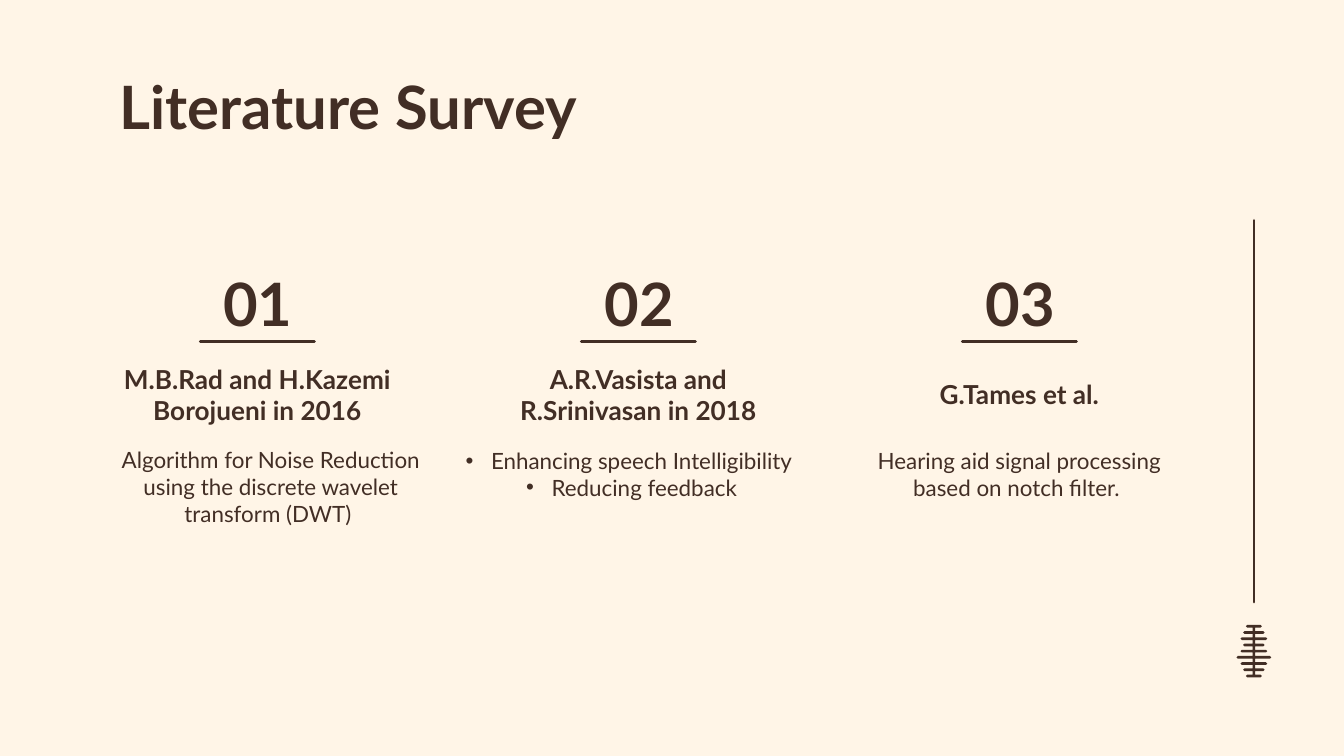
from lxml.etree import SubElement as Sub
from pptx import Presentation
from pptx.dml.color import RGBColor as Rgb
from pptx.enum.shapes import MSO_CONNECTOR as Conn
from pptx.enum.text import MSO_ANCHOR as Anchor, MSO_AUTO_SIZE as Auto, PP_ALIGN as Align
from pptx.oxml.ns import qn
from pptx.util import Inches, Pt

TITLE = "Literature Survey"
WORKS = [
    {"num": "01", "head": "M.B.Rad and H.Kazemi Borojueni in 2016",
     "body": ["Algorithm for Noise Reduction using the discrete wavelet transform (DWT) "],
     "box": (0.79, 2.84, 2.45, 1.36), "top": 0.3},
    {"num": "02", "head": "A.R.Vasista and R.Srinivasan in 2018",
     "body": ["Enhancing speech Intelligibility ", "Reducing feedback"],
     "box": (3.28, 3.04, 2.84, 0.97), "mark": "•"},
    {"num": "03", "head": "G.Tames et al.",
     "body": ["Hearing aid signal processing based on notch filter. "],
     "box": (6.36, 3.04, 2.45, 0.97)},
]
SLATS = [0.06, 0.08, 0.1, 0.08, 0.1, 0.13, 0.1, 0.08, 0.06]
THEME = {"ink": Rgb.from_string("422E25"), "paper": Rgb.from_string("FFF5E7"),
         "font": "Lato", "big": 32, "head": 14, "body": 12, "line": 1.5}
STEP = (6.36 - 0.69) / 2
AXIS = 9.33

deck = Presentation()
deck.slide_width = Inches(10)
deck.slide_height = deck.slide_width * 9 // 16
slide = deck.slides.add_slide(deck.slide_layouts[5])
slide.background.fill.solid()
slide.background.fill.fore_color.rgb = THEME["paper"]


def write(text, box, size, bold=False, align=Align.CENTER, anchor=Anchor.MIDDLE,
          top=0.1, mark=None, shape=None):
    sides = [Inches(v) for v in box]
    shape = shape or slide.shapes.add_textbox(*sides)
    shape.left, shape.top, shape.width, shape.height = sides
    frame = shape.text_frame
    frame.auto_size = Auto.NONE
    frame.word_wrap = True
    frame.vertical_anchor = anchor
    frame.margin_left = frame.margin_right = frame.margin_bottom = Inches(0.1)
    frame.margin_top = Inches(top)
    frame.text = "\n".join(text)
    for para in frame.paragraphs:
        para.alignment = align
        if mark:
            props = para._p.get_or_add_pPr()
            props.set("marL", str(Inches(0.19)))
            props.set("indent", str(Inches(-0.19)))
            Sub(props, qn("a:buFont")).set("typeface", "Arial")
            Sub(props, qn("a:buChar")).set("char", mark)
        for run in para.runs:
            font = run.font
            font.name, font.size, font.bold = THEME["font"], Pt(size), bold
            font.color.rgb = THEME["ink"]


def rule(x1, y1, x2, y2):
    line = slide.shapes.add_connector(Conn.STRAIGHT, *map(Inches, (x1, y1, x2, y2)))
    line.line.color.rgb = THEME["ink"]
    line.line.width = Pt(THEME["line"])
    line.line._get_or_add_ln().set("cap", "rnd")
    Sub(line._element.spPr, qn("a:effectLst"))


def icon(top=4.66, end=5.03, half=0.01):
    gap = (end - top) / (len(SLATS) - 1)
    right = []
    for i, reach in enumerate(SLATS):
        y = top + i * gap
        right += [(half, y - half), (reach - half, y - half), (reach, y),
                  (reach - half, y + half), (half, y + half)]
    left = [(-x, y) for x, y in reversed(right)]
    dots = [(Inches(AXIS + x), Inches(y)) for x, y in right + left]
    pen = slide.shapes.build_freeform(*dots[0])
    pen.add_line_segments(dots[1:], close=True)
    shape = pen.convert_to_shape()
    shape.shadow.inherit = False
    shape.fill.solid()
    shape.fill.fore_color.rgb = THEME["ink"]
    shape.line.fill.background()


rule(AXIS, 1.64, AXIS, 4.48)
icon()
write([TITLE], (0.79, 0.42, 8.12, 0.65), THEME["big"], bold=True,
      align=Align.LEFT, anchor=Anchor.TOP, shape=slide.shapes.title)
for i, work in enumerate(WORKS):
    x = i * STEP
    write([work["num"]], (1.43 + x, 1.96, 0.98, 0.58), THEME["big"], bold=True)
    rule(1.49 + x, 2.54, 2.34 + x, 2.54)
    write([work["head"]], (0.69 + x, 2.73, 2.45, 0.41), THEME["head"], bold=True)
    write(work["body"], work["box"], THEME["body"],
          top=work.get("top", 0.1), mark=work.get("mark"))

deck.save("out.pptx")
